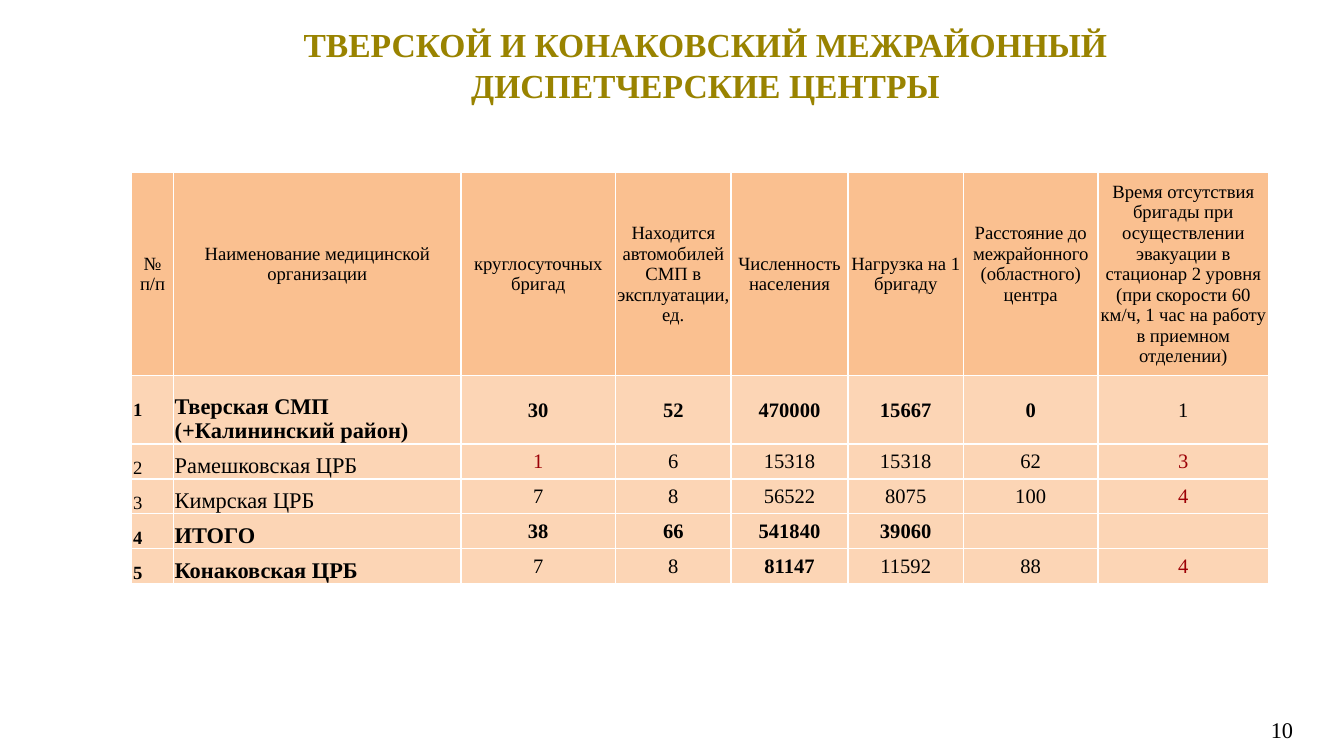
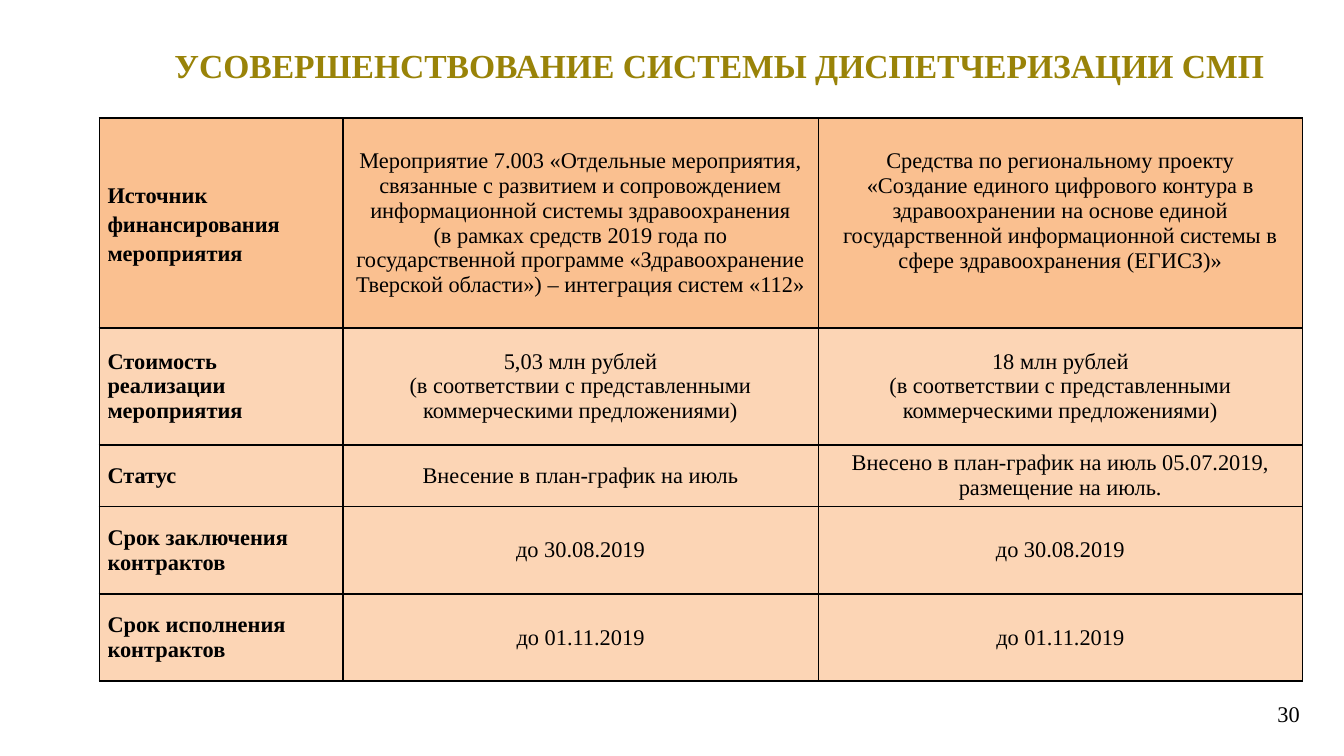
import pptx
import pptx.dml.color
import pptx.enum.text
import pptx.oxml.ns
import pptx.util
from dataclasses import dataclass
from lxml import etree

Inches, Pt = pptx.util.Inches, pptx.util.Pt
ALIGN = pptx.enum.text.PP_ALIGN
ANCHOR = pptx.enum.text.MSO_ANCHOR


@dataclass(frozen=True)
class Theme:
    font: str = "Times New Roman"
    ink: str = "000000"
    alert: str = "9C0006"
    header: str = "FAC090"
    body: str = "FCD5B5"
    light_rule: str = "FFFFFF"
    dark_rule: str = "000000"
    title_size: int = 18
    label_size: int = 12
    value_size: int = 11
    small_size: int = 10
    rule_width: int = 1


THEME = Theme()
SLIDE_WIDTH = 10
SLIDE_HEIGHT = SLIDE_WIDTH * 9 / 16

# Slide 1: dispatch centres
CENTRES = {
    "title": "ТВЕРСКОЙ И КОНАКОВСКИЙ МЕЖРАЙОННЫЙ ДИСПЕТЧЕРСКИЕ ЦЕНТРЫ",
    "title_color": "998300",
    "title_box": (1.01, 0.04, 8.48, 0.88),
    "page": "10",
    "page_at": (7.39, 5.28),
    "table_at": (0.98, 1.28),
    "columns": [0.31, 2.14, 1.15, 0.86, 0.87, 0.86, 1, 1.27],
    "rows": [1.41, 0.51, 0.26, 0.26, 0.26, 0.26],
    "insets": (0.01, 0.01, 0.01, 0),
    "rule": THEME.light_rule,
}
CENTRE_HEADINGS = [
    "№\nп/п",
    "Наименование медицинской организации",
    "круглосуточных бригад",
    "Находится автомобилей СМП в эксплуатации, ед.",
    "Численность населения",
    "Нагрузка на 1 бригаду",
    "Расстояние до межрайонного (областного) центра",
    "Время отсутствия бригады при осуществлении эвакуации в стационар 2 уровня "
    "(при скорости 60 км/ч, 1 час на работу в приемном отделении)",
]
RAISED_HEADINGS = {1, 6}
# Values, bold columns, alert columns
CENTRE_ROWS = [
    (["1", "Тверская СМП (+Калининский район)", "30", "52", "470000", "15667", "0", "1"],
     set(range(7)), set()),
    (["2", "Рамешковская ЦРБ", "1", "6", "15318", "15318", "62", "3"], set(), {2, 7}),
    (["3", "Кимрская ЦРБ", "7", "8", "56522", "8075", "100", "4"], set(), {7}),
    (["4", "ИТОГО", "38", "66", "541840", "39060", "", ""], set(range(8)), set()),
    (["5", "Конаковская ЦРБ", "7", "8", "81147", "11592", "88", "4"], {0, 1, 4}, {7}),
]

# Slide 2: dispatch system upgrade
UPGRADE = {
    "title": "УСОВЕРШЕНСТВОВАНИЕ СИСТЕМЫ ДИСПЕТЧЕРИЗАЦИИ СМП",
    "title_color": "998308",
    "title_box": (1.14, 0.16, 8.43, 0.65),
    "page": "30",
    "page_at": (7.44, 5.16),
    "table_at": (0.74, 0.88),
    "columns": [1.81, 3.54, 3.6],
    "rows": [1.56, 0.87, 0.46, 0.65, 0.65],
    "insets": (0.06, 0, 0.06, 0),
    "rule": THEME.dark_rule,
}
BASIS = "(в соответствии с представленными коммерческими предложениями)"
UPGRADE_ROWS = [
    ("Источник финансирования мероприятия",
     "Мероприятие 7.003 «Отдельные мероприятия, связанные с развитием и сопровождением "
     "информационной системы здравоохранения\v(в рамках средств 2019 года по\v"
     "государственной программе «Здравоохранение Тверской области») – интеграция систем «112»",
     "Средства по региональному проекту\n«Создание единого цифрового контура в "
     "здравоохранении на основе единой государственной информационной системы в сфере "
     "здравоохранения (ЕГИСЗ)»"),
    ("Стоимость реализации мероприятия",
     f"5,03 млн рублей\n{BASIS}", f"18 млн рублей\n{BASIS}"),
    ("Статус", "Внесение в план-график на июль",
     "Внесено в план-график на июль 05.07.2019, размещение на июль."),
    ("Срок заключения контрактов", "до 30.08.2019", "до 30.08.2019"),
    ("Срок исполнения контрактов", "до 01.11.2019", "до 01.11.2019"),
]


def rgb(color):
    return pptx.dml.color.RGBColor.from_string(color)


def write(frame, text, size, color=THEME.ink, bold=False, align=ALIGN.CENTER, spacing=None):
    frame.text = text
    for paragraph in frame.paragraphs:
        paragraph.alignment = align
        if spacing:
            paragraph.line_spacing = spacing
        if not paragraph.runs:
            # An empty cell must not stretch its row
            paragraph._p.get_or_add_endParaRPr().set("sz", str(size * 100))
        for run in paragraph.runs:
            run.font.name = THEME.font
            run.font.size = Pt(size)
            run.font.bold = bold
            run.font.color.rgb = rgb(color)


def add_text(slide, box, text, size, **style):
    frame = slide.shapes.add_textbox(*map(Inches, box)).text_frame
    frame.word_wrap = True
    frame.vertical_anchor = ANCHOR.MIDDLE
    write(frame, text, size, **style)


def add_borders(cell, color):
    properties = cell._tc.get_or_add_tcPr()
    qn = pptx.oxml.ns.qn
    for side in ("a:lnL", "a:lnR", "a:lnT", "a:lnB"):
        line = etree.SubElement(properties, qn(side), w=str(Pt(THEME.rule_width)))
        fill = etree.SubElement(line, qn("a:solidFill"))
        etree.SubElement(fill, qn("a:srgbClr"), val=color)


def add_page(deck, content):
    """Add a slide with its title, page number and empty styled table."""
    slide = deck.slides.add_slide(deck.slide_layouts[6])
    add_text(slide, content["title_box"], content["title"], THEME.title_size,
             color=content["title_color"], bold=True)
    add_text(slide, (*content["page_at"], 2.33, 0.3), content["page"],
             THEME.label_size, align=ALIGN.RIGHT)

    widths, heights = content["columns"], content["rows"]
    extent = (*content["table_at"], sum(widths), sum(heights))
    table = slide.shapes.add_table(len(heights), len(widths), *map(Inches, extent)).table
    table.first_row = table.horz_banding = False
    for column, width in zip(table.columns, widths):
        column.width = Inches(width)
    for row_index, (row, height) in enumerate(zip(table.rows, heights)):
        row.height = Inches(height)
        for cell in row.cells:
            (cell.margin_left, cell.margin_top,
             cell.margin_right, cell.margin_bottom) = map(Inches, content["insets"])
            cell.vertical_anchor = ANCHOR.MIDDLE
            add_borders(cell, content["rule"])
            cell.fill.solid()
            cell.fill.fore_color.rgb = rgb(THEME.body if row_index else THEME.header)
    return table


def build_centres(deck):
    table = add_page(deck, CENTRES)
    for column, heading in enumerate(CENTRE_HEADINGS):
        cell = table.cell(0, column)
        write(cell.text_frame, heading, THEME.small_size)
        if column in RAISED_HEADINGS:
            cell.margin_bottom = Inches(0.15)

    column_sizes = [THEME.small_size, THEME.label_size] + [THEME.value_size] * 6
    for row, (values, bold, alert) in enumerate(CENTRE_ROWS, 1):
        for column, value in enumerate(values):
            cell = table.cell(row, column)
            write(cell.text_frame, value, column_sizes[column],
                  color=THEME.alert if column in alert else THEME.ink,
                  bold=column in bold,
                  align=ALIGN.LEFT if column < 2 else ALIGN.CENTER)
            # Names sit on the row's base, as do numbers below the first row
            if column == 1 or (column == 0 and row > 1):
                cell.vertical_anchor = ANCHOR.BOTTOM


def build_upgrade(deck):
    table = add_page(deck, UPGRADE)
    for row, (label, *values) in enumerate(UPGRADE_ROWS):
        write(table.cell(row, 0).text_frame, label, THEME.label_size, bold=True,
              align=ALIGN.LEFT if row else ALIGN.JUSTIFY,
              spacing=None if row else 1.15)
        for column, value in enumerate(values, 1):
            write(table.cell(row, column).text_frame, value, THEME.label_size)
    # The regional project text sits slightly above the middle
    table.cell(0, 2).margin_bottom = Inches(0.18)


def main():
    deck = pptx.Presentation()
    deck.slide_width, deck.slide_height = Inches(SLIDE_WIDTH), Inches(SLIDE_HEIGHT)
    build_centres(deck)
    build_upgrade(deck)
    deck.save("out.pptx")


if __name__ == "__main__":
    main()
